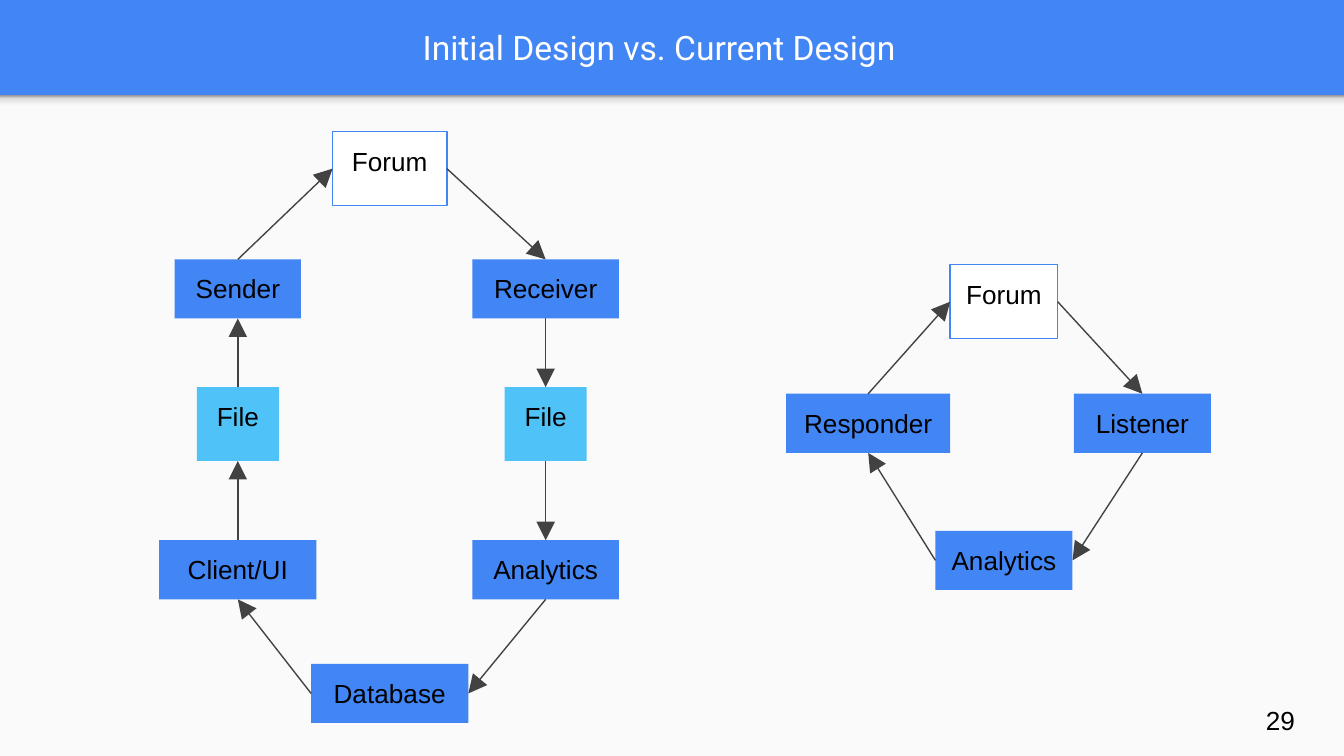
from dataclasses import dataclass
from enum import Enum

import pptx
import pptx.dml.color
import pptx.enum.shapes
import pptx.enum.text
import pptx.oxml
import pptx.oxml.ns
import pptx.util
from lxml import etree

Inches = pptx.util.Inches
Pt = pptx.util.Pt
qn = pptx.oxml.ns.qn
Align = pptx.enum.text.PP_ALIGN
Anchor = pptx.enum.text.MSO_ANCHOR
RECT = pptx.enum.shapes.MSO_SHAPE.RECTANGLE
LINE = pptx.enum.shapes.MSO_CONNECTOR.STRAIGHT

BLUE, SKY, WHITE = "4285F4", "4FC3F7", "FFFFFF"
BLACK, GREY, PAPER = "000000", "424242", "FAFAFA"
SHADE = [(0, "F9F9F9"), (36, "F9F9F9"), (80, "DEDEDE"), (100, "999999")]


class Side(Enum):
    TOP = (1, 3)
    RIGHT = (0, 2)
    FOOT = (3, 1)
    LEFT = (2, 0)


@dataclass
class Box:
    name: str
    mid: float
    top: float
    width: float
    side: Side
    fill: str = BLUE

    @property
    def height(self) -> float:
        return 0.44 if self.fill == BLUE else 0.55

    @property
    def left(self) -> float:
        return self.mid - self.width / 2

    def site(self, index: int) -> tuple[float, float]:
        half = self.top + self.height / 2
        return [
            (self.mid, self.top),
            (self.left, half),
            (self.mid, self.top + self.height),
            (self.left + self.width, half),
        ][index]


FIRST = [
    Box("Forum", 2.9, 0.98, 0.85, Side.TOP, WHITE),
    Box("Receiver", 4.06, 1.93, 1.09, Side.RIGHT),
    Box("File", 4.06, 2.88, 0.61, Side.RIGHT, SKY),
    Box("Analytics", 4.06, 4.02, 1.09, Side.RIGHT),
    Box("Database", 2.9, 4.94, 1.17, Side.FOOT),
    Box("Client/UI", 1.77, 4.02, 1.17, Side.LEFT),
    Box("File", 1.77, 2.88, 0.61, Side.LEFT, SKY),
    Box("Sender", 1.77, 1.93, 0.94, Side.LEFT),
]
SECOND = [
    Box("Forum", 7.47, 1.97, 0.8, Side.TOP, WHITE),
    Box("Listener", 8.5, 2.93, 1.02, Side.RIGHT),
    Box("Analytics", 7.47, 3.95, 1.02, Side.FOOT),
    Box("Responder", 6.46, 2.93, 1.22, Side.LEFT),
]


def color(code: str):
    return pptx.dml.color.RGBColor.from_string(code)


def write(shape, text: str, *, size=14, font="Arial", ink=BLACK,
          align=Align.CENTER, anchor=Anchor.TOP) -> None:
    frame = shape.text_frame
    frame.word_wrap = True
    frame.vertical_anchor = anchor
    frame.margin_left = frame.margin_right = Inches(0.1)
    frame.margin_top = frame.margin_bottom = Inches(0.1)
    line = frame.paragraphs[0]
    line.alignment = align
    run = line.add_run()
    run.text = text
    run.font.size = Pt(size)
    run.font.name = font
    run.font.color.rgb = color(ink)


def panel(shapes, left: float, top: float, width: float, height: float,
          fill: str):
    shape = shapes.add_shape(RECT, Inches(left), Inches(top),
                             Inches(width), Inches(height))
    shape.shadow.inherit = False
    shape.fill.solid()
    shape.fill.fore_color.rgb = color(fill)
    shape.line.fill.background()
    return shape


def shade(shape, stops: list[tuple[int, str]]) -> None:
    shape.fill.gradient()
    shape.fill.gradient_angle = 90
    group = shape._element.spPr.find(qn("a:gradFill")).find(qn("a:gsLst"))
    for old in list(group):
        group.remove(old)
    for place, code in stops:
        stop = etree.SubElement(group, qn("a:gs"), pos=str(place * 1000))
        etree.SubElement(stop, qn("a:srgbClr"), val=code)


def node(shapes, box: Box):
    shape = panel(shapes, box.left, box.top, box.width, box.height, box.fill)
    if box.fill == WHITE:
        shape.line.color.rgb = color(BLUE)
        shape.line.width = Pt(0.75)
    write(shape, box.name)
    return shape


def arrow(shapes, start: Box, end: Box, source, target) -> None:
    leave, enter = start.side.value[1], end.side.value[0]
    points = start.site(leave) + end.site(enter)
    link = shapes.add_connector(LINE, *map(Inches, points))
    link.begin_connect(source, leave)
    link.end_connect(target, enter)
    link.line.color.rgb = color(GREY)
    link.line.width = Pt(0.75)
    etree.SubElement(link.line._get_or_add_ln(), qn("a:tailEnd"),
                     type="triangle", w="lg", len="lg")
    etree.SubElement(link._element.spPr, qn("a:effectLst"))


def cycle(slide, boxes: list[Box]) -> None:
    shapes = slide.shapes.add_group_shape().shapes
    nodes = [node(shapes, box) for box in boxes]
    for i in range(len(boxes)):
        j = (i + 1) % len(boxes)
        arrow(shapes, boxes[i], boxes[j], nodes[i], nodes[j])


def label(slide, left: float, top: float, width: float, height: float,
          text: str, **style) -> None:
    shape = slide.shapes.add_textbox(Inches(left), Inches(top),
                                     Inches(width), Inches(height))
    write(shape, text, anchor=Anchor.MIDDLE, **style)


def main() -> None:
    deck = pptx.Presentation()
    deck.slide_width = Inches(10)
    deck.slide_height = Inches(10) * 9 // 16
    slide = deck.slides.add_slide(deck.slide_layouts[6])
    back = slide.background.fill
    back.solid()
    back.fore_color.rgb = color(BLUE)
    panel(slide.shapes, 0, 0.72, 10, 4.91, PAPER)
    shade(panel(slide.shapes, 0, 0.71, 10, 0.12, PAPER), SHADE)
    label(slide, 0.08, 0.02, 9.65, 0.66, "Initial Design vs. Current Design",
          size=18, font="Roboto", ink=WHITE)
    cycle(slide, FIRST)
    cycle(slide, SECOND)
    label(slide, 9.32, 5.14, 0.6, 0.43, "29", align=Align.LEFT)
    deck.save("out.pptx")


if __name__ == "__main__":
    main()
